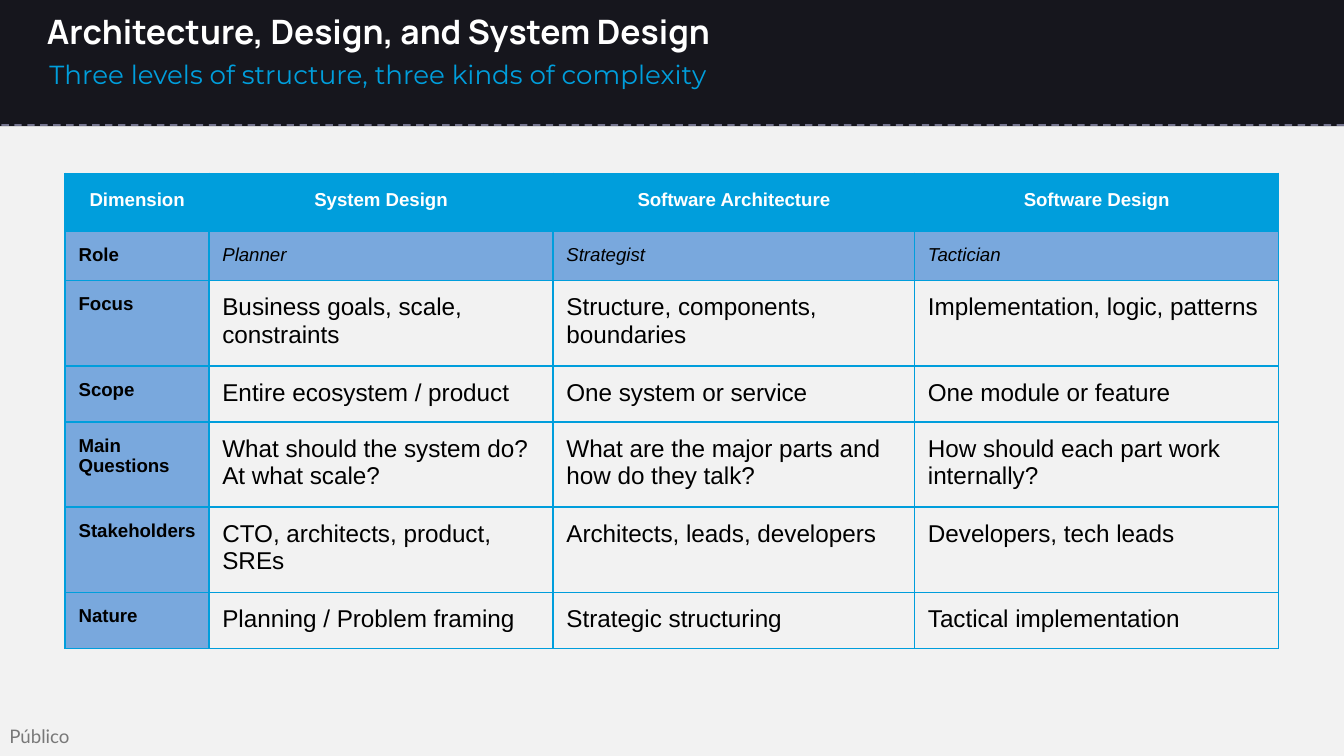
import pptx
import pptx.dml.color
import pptx.enum.dml
import pptx.enum.shapes
import pptx.enum.text
import pptx.oxml.ns
import pptx.util
from lxml import etree

# Content
TITLE = "Architecture, Design, and System Design"
SUBTITLE = "Three levels of structure, three kinds of complexity"
FOOTER = "Público"
ROWS = [
    ("Dimension", "System Design", "Software Architecture", "Software Design"),
    ("Role", "Planner", "Strategist", "Tactician"),
    ("Focus", "Business goals, scale, constraints",
     "Structure, components, boundaries", "Implementation, logic, patterns"),
    ("Scope", "Entire ecosystem / product", "One system or service",
     "One module or feature"),
    ("Main Questions", "What should the system do? At what scale?",
     "What are the major parts and how do they talk?",
     "How should each part work internally?"),
    ("Stakeholders", "CTO, architects, product, SREs",
     "Architects, leads, developers", "Developers, tech leads"),
    ("Nature", "Planning / Problem framing", "Strategic structuring",
     "Tactical implementation"),
]

# Theme: colours and text styles (font, size, colour, bold, italic)
THEME = {
    "background": "F2F2F2", "band": "16161D", "dash": "D2D2FF",
    "accent": "009EDC", "label": "79A8DD",
    "title": ("Manrope", 18, "FFFFFF", True, False),
    "subtitle": ("Montserrat", 14, "009EDC", False, False),
    "footer": ("Lato", 10, "000000", False, False),
    "header_text": ("Arial", 10, "FFFFFF", True, False),
    "label_text": ("Arial", 10, "000000", True, False),
    "role_text": ("Arial", 10, "000000", False, True),
    "body_text": ("Arial", 13, "000000", False, False),
}

# Layout, in inches: a 16:9 slide with the table centred across it
WIDTH = 10
HEIGHT = WIDTH * 9 / 16
BAND_HEIGHT = 0.94
COLUMN_WIDTHS = (1.07, 2.56, 2.69, 2.71)
TABLE_LEFT, TABLE_TOP = (WIDTH - sum(COLUMN_WIDTHS)) / 2, 1.29
HEADER_ROW, ROLE_ROW, ONE_LINE, TWO_LINES = 0.43, 0.36, 0.41, 0.63
ROW_HEIGHTS = (HEADER_ROW, ROLE_ROW, TWO_LINES, ONE_LINE,
               TWO_LINES, TWO_LINES, ONE_LINE)
CELL_MARGIN = 0.1

inches = pptx.util.Inches
qn = pptx.oxml.ns.qn


def rgb(name):
    return pptx.dml.color.RGBColor.from_string(name)


def make_half_transparent(fill):
    colour = fill._xPr.find(".//" + qn("a:srgbClr"))
    etree.SubElement(colour, qn("a:alpha"), val="50000")


def write(text_frame, text, style, line_spacing=None, alignment=None):
    font_name, size, colour, bold, italic = THEME[style]
    paragraph = text_frame.paragraphs[0]
    paragraph.space_before = pptx.util.Pt(0)
    paragraph.line_spacing = line_spacing
    paragraph.alignment = alignment
    run = paragraph.add_run()
    run.text = text
    run.font.name = font_name
    run.font.size = pptx.util.Pt(size)
    run.font.bold, run.font.italic = bold, italic
    run.font.color.rgb = rgb(colour)
    return run


def add_text(slide, box, margins, text, style, line_spacing=None, wrap=True):
    frame = slide.shapes.add_textbox(*map(inches, box)).text_frame
    frame.word_wrap = wrap
    frame.margin_left = frame.margin_right = inches(margins[0])
    frame.margin_top = frame.margin_bottom = inches(margins[1])
    return write(frame, text, style, line_spacing)


def add_borders(cell):
    properties = cell._tc.get_or_add_tcPr()
    for side in ("lnL", "lnR", "lnT", "lnB"):
        line = etree.SubElement(properties, qn("a:" + side),
                                w=str(pptx.util.Pt(1)))
        fill = etree.SubElement(line, qn("a:solidFill"))
        etree.SubElement(fill, qn("a:srgbClr"), val=THEME["accent"])


def cell_look(row, column):
    """Return the text style and fill of a cell from its place."""
    if row == 0:
        return "header_text", "accent"
    if column == 0:
        return "label_text", "label"
    if row == 1:
        return "role_text", "label"
    return "body_text", None


def add_header(slide):
    band = slide.shapes.add_shape(
        pptx.enum.shapes.MSO_SHAPE.RECTANGLE,
        0, 0, inches(WIDTH), inches(BAND_HEIGHT))
    band.shadow.inherit = False
    band.fill.solid()
    band.fill.fore_color.rgb = rgb(THEME["band"])
    band.line.fill.background()

    # Dashed rule along the lower edge
    y = inches(BAND_HEIGHT - 0.01)
    rule = slide.shapes.add_connector(
        pptx.enum.shapes.MSO_CONNECTOR.STRAIGHT, inches(WIDTH), y, 0, y)
    rule.line.width = pptx.util.Pt(1)
    rule.line.color.rgb = rgb(THEME["dash"])
    rule.line.dash_style = pptx.enum.dml.MSO_LINE.DASH
    make_half_transparent(rule.line.fill)
    etree.SubElement(rule._element.spPr, qn("a:effectLst"))

    add_text(slide, (0.28, 0, 6.63, 0.76), (0.07, 0.04), TITLE, "title", 1.15)
    add_text(slide, (0.27, 0.35, 5.44, 0.34), (0.1, 0.05),
             SUBTITLE, "subtitle", 1.15)


def add_comparison(slide):
    table = slide.shapes.add_table(
        len(ROWS), len(COLUMN_WIDTHS), inches(TABLE_LEFT), inches(TABLE_TOP),
        inches(sum(COLUMN_WIDTHS)), inches(sum(ROW_HEIGHTS))).table
    table.first_row = table.horz_banding = False
    for column, width in zip(table.columns, COLUMN_WIDTHS):
        column.width = inches(width)
    for row, height in zip(table.rows, ROW_HEIGHTS):
        row.height = inches(height)

    for r, texts in enumerate(ROWS):
        for c, text in enumerate(texts):
            cell = table.cell(r, c)
            style, fill = cell_look(r, c)
            cell.margin_left = cell.margin_right = inches(CELL_MARGIN)
            cell.margin_top = cell.margin_bottom = inches(CELL_MARGIN)
            add_borders(cell)
            if fill:
                cell.fill.solid()
                cell.fill.fore_color.rgb = rgb(THEME[fill])
            else:
                cell.fill.background()
            if r == 0:
                write(cell.text_frame, text, style, 1.15,
                      pptx.enum.text.PP_ALIGN.CENTER)
            else:
                write(cell.text_frame, text, style)


def main():
    presentation = pptx.Presentation()
    presentation.slide_width = inches(WIDTH)
    presentation.slide_height = inches(HEIGHT)
    slide = presentation.slides.add_slide(presentation.slide_layouts[6])
    slide.background.fill.solid()
    slide.background.fill.fore_color.rgb = rgb(THEME["background"])

    # Classification mark at the bottom left
    mark = add_text(slide, (0.07, 5.39, 0.48, 0.17), (0, 0),
                    FOOTER, "footer", wrap=False)
    make_half_transparent(mark.font.fill)

    add_header(slide)
    add_comparison(slide)
    presentation.save("out.pptx")


if __name__ == "__main__":
    main()
